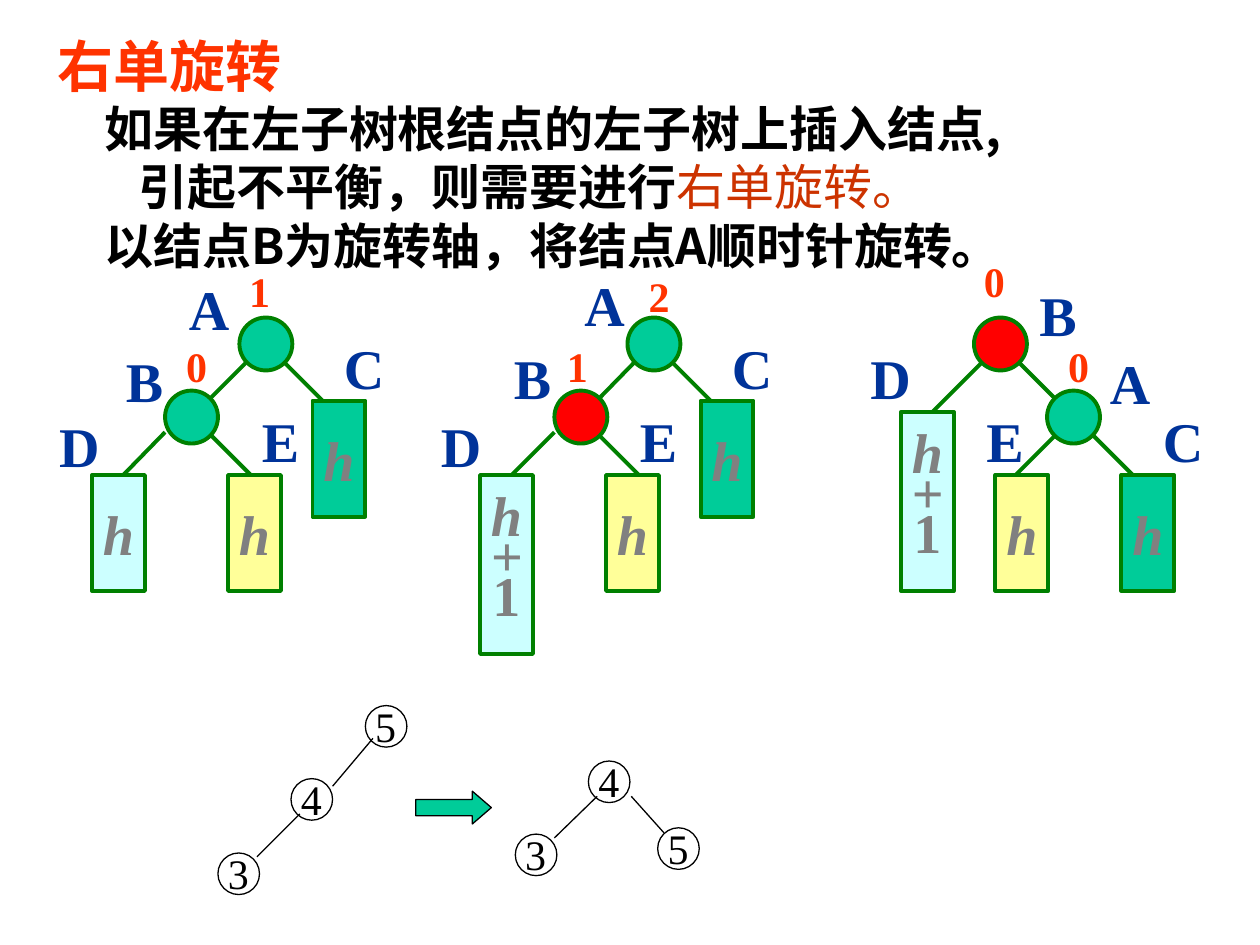
"""Build the slide that explains the single right rotation of a balanced tree."""
from dataclasses import dataclass

from lxml import etree
from pptx import Presentation
from pptx import util as u
from pptx.dml.color import RGBColor
from pptx.enum import shapes, text
from pptx.oxml.ns import qn

SERIF, SANS = "Times New Roman", "Noto Sans CJK SC"
TEAL, RED, AQUA, YELLOW = "00CC99", "FF0000", "CCFFFF", "FFFF99"
GREEN, BLACK, GRAY, NAVY, ORANGE = "008000", "000000", "808080", "003399", "FF3300"
NODE, SHORT, TALL, SMALL = 0.42, 0.92, 1.42, 0.33


@dataclass(frozen=True)
class Style:
    size: float
    color: str
    font: str = SERIF
    bold: bool = True
    italic: bool = False


@dataclass(frozen=True)
class Node:
    left: float
    top: float
    fill: str


@dataclass(frozen=True)
class Subtree:
    left: float
    top: float
    fill: str
    height: float = SHORT


@dataclass(frozen=True)
class Label:
    words: str
    left: float
    top: float


@dataclass(frozen=True)
class Edge:
    x1: float
    y1: float
    x2: float
    y2: float


@dataclass(frozen=True)
class Tree:
    edges: list[Edge]
    nodes: list[Node]
    subtrees: list[Subtree]
    names: list[Label]
    balances: list[Label]


@dataclass(frozen=True)
class Example:
    digits: list[Label]
    edges: list[Edge]


NAME = Style(32, NAVY)
BALANCE = Style(24, ORANGE)
HEIGHT = Style(32, GRAY, italic=True)
DIGIT = Style(24, BLACK, bold=False)
BODY = Style(28, BLACK, SANS)

TREES = [
    Tree([Edge(1.65, 3.43, 2.15, 3.93), Edge(2.15, 2.77, 2.65, 3.27),
          Edge(2.06, 2.77, 1.65, 3.18), Edge(1.31, 3.43, 0.9, 3.85)],
         [Node(1.9, 2.52, TEAL), Node(1.31, 3.1, TEAL)],
         [Subtree(2.48, 3.18, TEAL), Subtree(0.73, 3.77, AQUA), Subtree(1.81, 3.77, YELLOW)],
         [Label("A", 1.4, 2.13), Label("C", 2.63, 2.6), Label("E", 1.98, 3.18),
          Label("B", 0.9, 2.7), Label("D", 0.37, 3.22)],
         [Label("0", 1.38, 2.65), Label("1", 1.88, 2.06)]),
    Tree([Edge(5.31, 2.85, 5.81, 3.35), Edge(4.4, 3.43, 3.98, 3.85),
          Edge(5.06, 2.85, 4.65, 3.27), Edge(4.73, 3.43, 5.23, 3.93)],
         [Node(4.4, 3.1, RED), Node(4.98, 2.52, TEAL)],
         [Subtree(5.56, 3.18, TEAL), Subtree(3.81, 3.77, AQUA, TALL), Subtree(4.81, 3.77, YELLOW)],
         [Label("B", 3.98, 2.68), Label("A", 4.54, 2.1), Label("C", 5.71, 2.6),
          Label("E", 4.98, 3.18), Label("D", 3.4, 3.22)],
         [Label("1", 4.4, 2.65), Label("2", 5.05, 2.1)]),
    Tree([Edge(7.98, 2.77, 8.48, 3.27), Edge(7.9, 2.77, 7.4, 3.27),
          Edge(8.4, 3.43, 7.98, 3.85), Edge(8.65, 3.43, 9.15, 3.93)],
         [Node(8.31, 3.1, TEAL), Node(7.73, 2.52, RED)],
         [Subtree(7.9, 3.77, YELLOW), Subtree(8.9, 3.77, TEAL), Subtree(7.15, 3.27, AQUA, TALL)],
         [Label("C", 9.13, 3.18), Label("E", 7.73, 3.18), Label("A", 8.71, 2.72),
          Label("B", 8.15, 2.18), Label("D", 6.81, 2.68)],
         [Label("0", 8.38, 2.65), Label("0", 7.71, 1.98)]),
]
EXAMPLES = [
    Example([Label("5", 2.9, 5.6), Label("4", 2.31, 6.18), Label("3", 1.73, 6.77)],
            [Edge(2.96, 5.86, 2.64, 6.24), Edge(2.38, 6.46, 2.04, 6.8)]),
    Example([Label("5", 5.22, 6.57), Label("4", 4.67, 6.04), Label("3", 4.09, 6.62)],
            [Edge(5.27, 6.61, 5.01, 6.32), Edge(4.74, 6.32, 4.4, 6.65)]),
]
BODY_LINES = [
    (0.19, [("如果在左子树根结点的左子树上插入结点,", BODY)]),
    (0.46, [("引起不平衡，则需要进行", BODY),
            ("右单旋转。", Style(28, "CC3300", SANS, bold=False))]),
    (0.19, [("以结点B为旋转轴，将结点A顺时针旋转。", BODY)]),
]


def rgb(value: str) -> RGBColor:
    return RGBColor.from_string(value)


def add_span(para, words: str, style: Style) -> None:
    span = para.add_run()
    span.text = words
    font = span.font
    font.name, font.size = style.font, u.Pt(style.size)
    font.bold, font.italic = style.bold, style.italic
    font.color.rgb = rgb(style.color)
    etree.SubElement(span._r.get_or_add_rPr(), qn("a:ea"), typeface=style.font)


def add_box(page, left: float, top: float, width: float, height: float, wrap: bool = False):
    box = page.shapes.add_textbox(u.Inches(left), u.Inches(top), u.Inches(width), u.Inches(height))
    box.text_frame.word_wrap = wrap
    return box.text_frame


def add_label(page, label: Label, width: float, height: float, style: Style) -> None:
    frame = add_box(page, label.left, label.top, width, height)
    add_span(frame.paragraphs[0], label.words, style)


def add_outline(page, kind, left: float, top: float, width: float, height: float,
                fill: str | None, line: str, weight: float):
    shape = page.shapes.add_shape(kind, u.Inches(left), u.Inches(top), u.Inches(width), u.Inches(height))
    shape.shadow.inherit = False
    if fill:
        shape.fill.solid()
        shape.fill.fore_color.rgb = rgb(fill)
    else:
        shape.fill.background()
    shape.line.color.rgb = rgb(line)
    shape.line.width = u.Pt(weight)
    return shape


def add_edge(page, edge: Edge, color: str, weight: float) -> None:
    line = page.shapes.add_connector(shapes.MSO_CONNECTOR.STRAIGHT, u.Inches(edge.x1),
                                     u.Inches(edge.y1), u.Inches(edge.x2), u.Inches(edge.y2))
    line.line.color.rgb = rgb(color)
    line.line.width = u.Pt(weight)
    etree.SubElement(line._element.spPr, qn("a:effectLst"))


def add_subtree(page, subtree: Subtree) -> None:
    shape = add_outline(page, shapes.MSO_SHAPE.RECTANGLE, subtree.left, subtree.top,
                        NODE, subtree.height, subtree.fill, GREEN, 2.25)
    frame = shape.text_frame
    frame.word_wrap = False
    frame.vertical_anchor = text.MSO_ANCHOR.MIDDLE
    tall = subtree.height == TALL
    for index, words in enumerate("h+1" if tall else "h"):
        para = frame.add_paragraph() if index else frame.paragraphs[0]
        para.alignment = text.PP_ALIGN.CENTER
        if tall:
            para.line_spacing = 0.6
        add_span(para, words, Style(32, GRAY) if words == "1" else HEIGHT)


def add_tree(page, tree: Tree) -> None:
    for edge in tree.edges:
        add_edge(page, edge, GREEN, 2.25)
    for node in tree.nodes:
        add_outline(page, shapes.MSO_SHAPE.OVAL, node.left, node.top, NODE, NODE, node.fill, GREEN, 2.25)
    for subtree in tree.subtrees:
        add_subtree(page, subtree)
    for name in tree.names:
        add_label(page, name, 0.52, 0.63, NAME)
    for balance in tree.balances:
        add_label(page, balance, 0.37, 0.5, BALANCE)


def add_example(page, example: Example) -> None:
    for digit in example.digits:
        add_outline(page, shapes.MSO_SHAPE.OVAL, digit.left, digit.top, SMALL, SMALL, None, BLACK, 0.75)
        add_label(page, Label(digit.words, digit.left - 0.02, digit.top - 0.09), 0.84, 0.5, DIGIT)
    for edge in example.edges:
        add_edge(page, edge, BLACK, 0.75)


def add_explanation(page) -> None:
    title = add_box(page, 0.36, 0.18, 2.76, 0.67, wrap=True)
    title.vertical_anchor = text.MSO_ANCHOR.MIDDLE
    add_span(title.paragraphs[0], "右单旋转", Style(32, ORANGE, SANS))
    body = add_box(page, 0.54, 0.73, 8.51, 1.85, wrap=True)
    for index, (indent, spans) in enumerate(BODY_LINES):
        para = body.add_paragraph() if index else body.paragraphs[0]
        para._p.get_or_add_pPr().set("marL", str(u.Inches(indent)))
        para.line_spacing = u.Pt(33.6)
        for words, style in spans:
            add_span(para, words, style)


def main() -> None:
    deck = Presentation()
    deck.slide_width, deck.slide_height = u.Inches(10), u.Inches(7.5)
    page = deck.slides.add_slide(deck.slide_layouts[6])
    add_explanation(page)
    for tree in TREES:
        add_tree(page, tree)
    for example in EXAMPLES:
        add_example(page, example)
    arrow = add_outline(page, shapes.MSO_SHAPE.RIGHT_ARROW, 3.3, 6.28, 0.6, 0.26, TEAL, BLACK, 0.75)
    arrow.adjustments[1] = 0.58
    deck.save("out.pptx")


if __name__ == "__main__":
    main()
